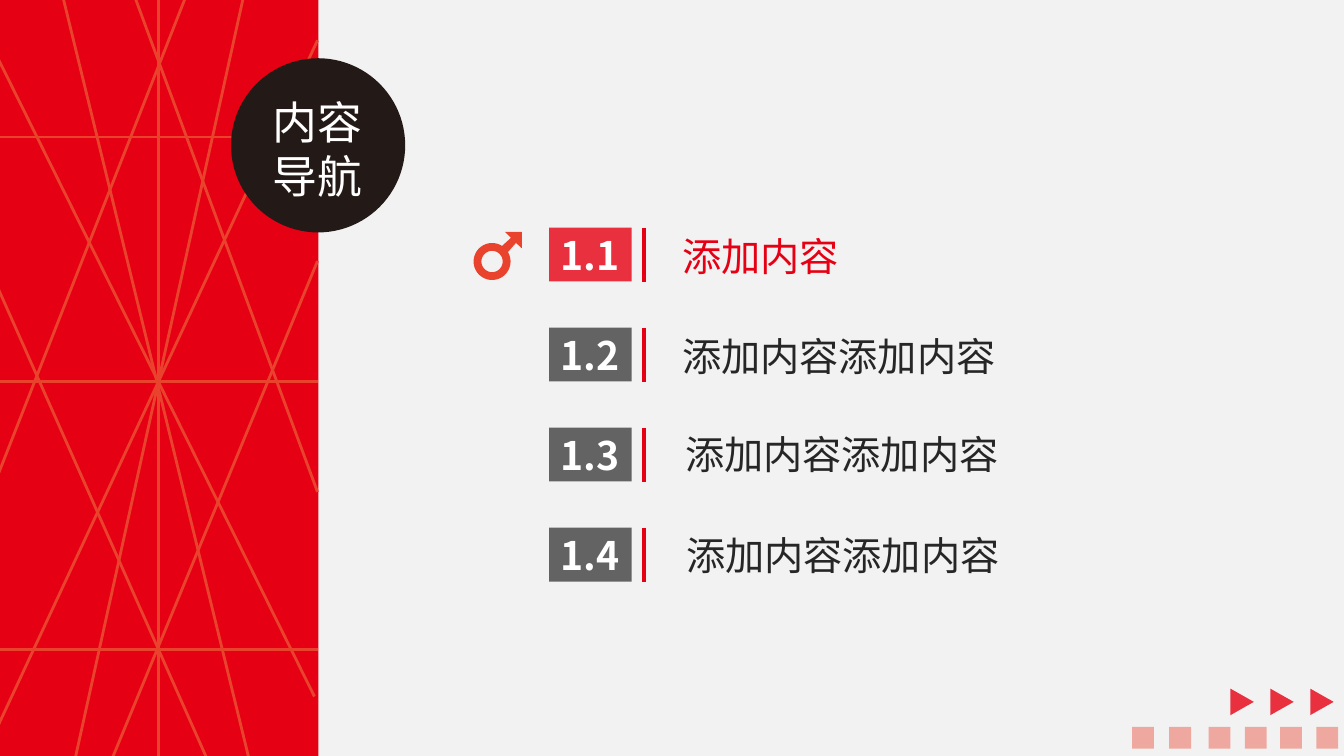
import math

from lxml import etree
from pptx import Presentation
from pptx import util as u
from pptx.dml.color import RGBColor
from pptx.enum import shapes, text
from pptx.oxml.ns import qn

RED, ORANGE, BLACK = "E60013", "E9432D", "231916"
GREY, INK, WHITE, PAPER = "404040", "262626", "FFFFFF", "F2F2F2"
SANS, TITLE_FONT = "Noto Sans CJK SC", "Roboto"


def color(value):
    return RGBColor.from_string(value)


class SlideBuilder:
    def __init__(self, slide):
        self.slide = slide
        self.slide.background.fill.solid()
        self.slide.background.fill.fore_color.rgb = color(PAPER)

    def paint(self, shape, fill, opacity=100):
        shape.shadow.inherit = False
        shape.fill.solid()
        shape.fill.fore_color.rgb = color(fill)
        shape.line.fill.background()
        if opacity < 100:
            rgb = shape._element.spPr.find(qn("a:solidFill"))[0]
            etree.SubElement(rgb, qn("a:alpha")).set("val", str(opacity * 1000))
        return shape

    def shape(self, kind, left, top, width, height, fill, opacity=100):
        shape = self.slide.shapes.add_shape(
            kind, u.Pt(left), u.Pt(top), u.Pt(width), u.Pt(height))
        return self.paint(shape, fill, opacity)

    def line(self, x1, y1, x2, y2, stroke, width):
        line = self.slide.shapes.add_connector(
            shapes.MSO_CONNECTOR.STRAIGHT, u.Pt(x1), u.Pt(y1), u.Pt(x2), u.Pt(y2))
        line.line.color.rgb = color(stroke)
        line.line.width = u.Pt(width)
        etree.SubElement(line._element.spPr, qn("a:effectLst"))

    def add_words(self, shape, words, size, fill, font=SANS, bold=False):
        """Add one run, naming the font for Latin and East Asian text alike."""
        paragraph = shape.text_frame.paragraphs[0]
        run = paragraph.add_run()
        run.text = words
        run.font.size = u.Pt(size)
        run.font.bold = bold
        run.font.color.rgb = color(fill)
        run.font.name = font
        east_asian = etree.SubElement(run._r.get_or_add_rPr(), qn("a:ea"))
        east_asian.set("typeface", font)
        return paragraph

    def text_box(self, left, top, width, height, words, size, fill, font=SANS, wrap=False):
        box = self.slide.shapes.add_textbox(
            u.Pt(left), u.Pt(top), u.Pt(width), u.Pt(height))
        box.text_frame.word_wrap = wrap
        box.text_frame.auto_size = text.MSO_AUTO_SIZE.SHAPE_TO_FIT_TEXT
        self.add_words(box, words, size, fill, font)

    def badge(self, left, top, width, height, words, fill):
        shape = self.shape(shapes.MSO_SHAPE.RECTANGLE, left, top, width, height, fill, 80)
        shape.text_frame.vertical_anchor = text.MSO_ANCHOR.MIDDLE
        paragraph = self.add_words(shape, words, 28, WHITE, bold=True)
        paragraph.alignment = text.PP_ALIGN.CENTER

    def outline(self, contours, fill):
        """Draw closed contours as one shape; an inner contour is a hole."""
        contours = [[(u.Pt(x), u.Pt(y)) for x, y in points] for points in contours]
        builder = self.slide.shapes.build_freeform(*contours[0][0])
        for index, points in enumerate(contours):
            if index:
                builder.move_to(*points[0])
            builder.add_line_segments(points[1:], close=True)
        self.paint(builder.convert_to_shape(), fill)


def arc(center_x, center_y, radius, start, end, steps=60):
    angles = [math.radians(start + (end - start) * i / steps) for i in range(steps + 1)]
    return [(center_x + radius * math.cos(a), center_y + radius * math.sin(a))
            for a in angles]


def draw_panel(builder):
    builder.shape(shapes.MSO_SHAPE.RECTANGLE, 0, 0, 227.5, 540, RED)
    for y in (97.9, 272.6, 463.8):
        builder.line(0, y, 226.8, y, ORANGE, 2)
    builder.line(113, -3.6, 113, 549.4, ORANGE, 2.25)
    rays = [
        (-1.4, 41.8, 224.6, 497.5), (-1.4, 518.4, 226.8, 28.8),
        (174.2, -3.6, 51.1, 553.7), (44.6, -3.6, 179.3, 547.9),
        (133.2, -3.6, -1.4, 339.1), (226.8, 351.4, 95.8, -3.6),
        (226.8, 186.5, 77, 549.4), (150.5, 547.9, -1.4, 205.9),
    ]
    for ray in rays:
        builder.line(*ray, ORANGE, 2)
    builder.shape(shapes.MSO_SHAPE.OVAL, 165, 41.6, 124.4, 124.4, BLACK)
    builder.text_box(187.9, 64.1, 100.8, 85, "内容导航", 32, WHITE, TITLE_FONT, wrap=True)


def draw_agenda(builder):
    entries = [
        ("1.1", "添加内容", 480.3, 162.7, RED, RED),
        ("1.2", "添加内容添加内容", 480.3, 234, GREY, INK),
        ("1.3", "添加内容添加内容", 482.4, 303.8, GREY, INK),
        ("1.4", "添加内容添加内容", 483.1, 375.8, GREY, INK),
    ]
    for row, (number, label, left, label_top, badge_fill, ink) in enumerate(entries):
        top = 162.6 + row * 71.45
        builder.badge(392.2, top, 59, 38.5, number, badge_fill)
        builder.line(460.1, top, 460.1, top + 38.5, RED, 3)
        builder.text_box(left, label_top, 14.4 + 28 * len(label), 41.2, label, 28, ink)


def draw_pointer(builder):
    center = (351.5, 186.8)
    arrow = [(358.6, 175.7), (365, 169.9), (360.7, 165.6), (372.8, 165.6),
             (372.8, 177.4), (368.6, 173.5), (362.9, 180)]
    ring = arc(*center, 13.2, -31, 302.6)
    hole = arc(*center, 7.6, 360, 0)
    builder.outline([ring + arrow, hole], ORANGE)


def draw_corner(builder):
    for left in (808.6, 835.2, 863.3, 889.2, 914.4, 940.3):
        builder.shape(shapes.MSO_SHAPE.RECTANGLE, left, 519.2, 15.6, 15.6, ORANGE, 42)
    for index in range(3):
        triangle = builder.shape(shapes.MSO_SHAPE.ISOSCELES_TRIANGLE,
                                 877.8 + index * 28.5, 493, 18.9, 16.7, RED, 80)
        triangle.rotation = 90


def main():
    presentation = Presentation()
    presentation.slide_width = u.Pt(960)
    presentation.slide_height = u.Pt(540)
    builder = SlideBuilder(presentation.slides.add_slide(presentation.slide_layouts[6]))
    draw_panel(builder)
    draw_agenda(builder)
    draw_corner(builder)
    draw_pointer(builder)
    presentation.save("out.pptx")


if __name__ == "__main__":
    main()
